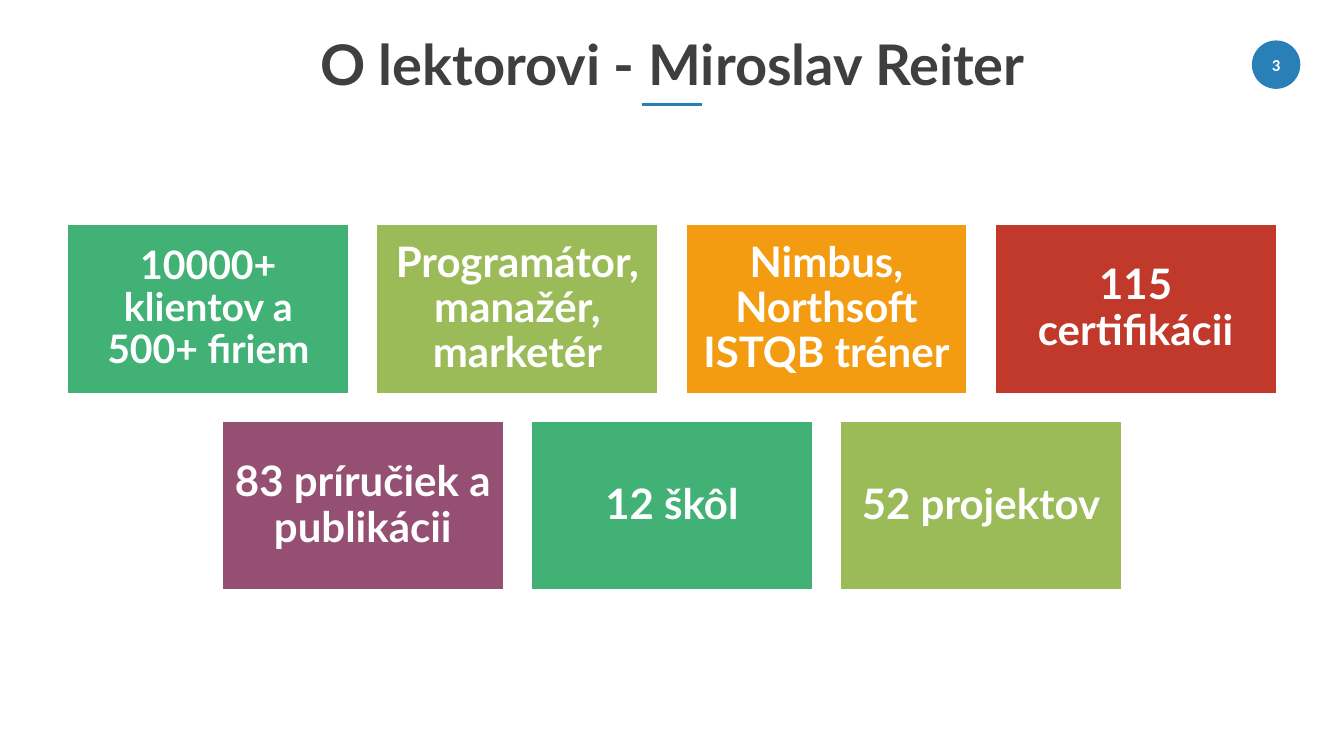
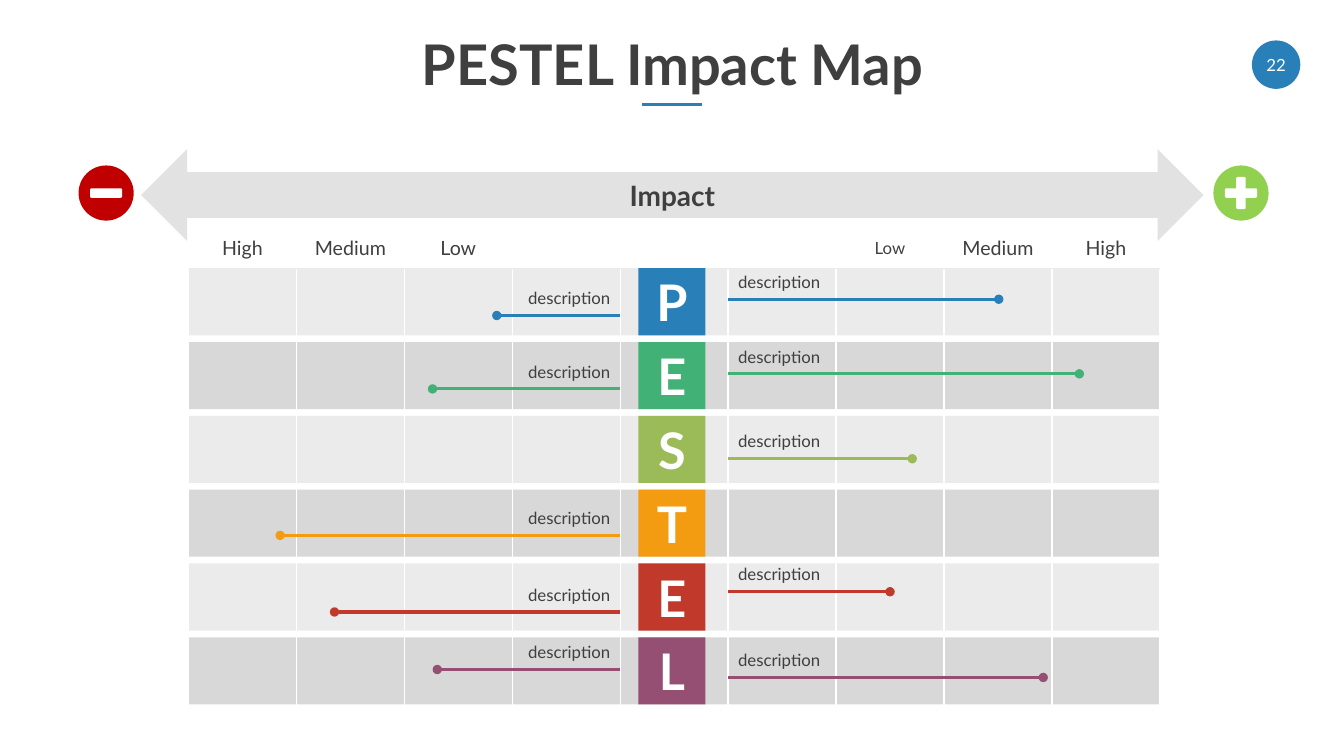
from itertools import cycle

from lxml import etree
from pptx import Presentation
from pptx.dml.color import RGBColor
from pptx.enum.shapes import MSO_CONNECTOR, MSO_SHAPE
from pptx.enum.text import MSO_ANCHOR, PP_ALIGN
from pptx.oxml.ns import qn
from pptx.util import Cm, Pt

# Enum members
STRAIGHT = MSO_CONNECTOR.STRAIGHT
RECTANGLE, OVAL = MSO_SHAPE.RECTANGLE, MSO_SHAPE.OVAL
ROUNDED, DOUBLE_ARROW = MSO_SHAPE.ROUNDED_RECTANGLE, MSO_SHAPE.LEFT_RIGHT_ARROW
MIDDLE = MSO_ANCHOR.MIDDLE
LEFT, CENTER, RIGHT = PP_ALIGN.LEFT, PP_ALIGN.CENTER, PP_ALIGN.RIGHT

# Colours
WHITE = RGBColor(0xFF, 0xFF, 0xFF)
INK = RGBColor(0x3F, 0x3F, 0x3F)
BLUE = RGBColor(0x29, 0x80, 0xB9)
GREEN = RGBColor(0x41, 0xB1, 0x76)
LIME = RGBColor(0x9B, 0xBB, 0x59)
ORANGE = RGBColor(0xF3, 0x9C, 0x12)
RED = RGBColor(0xC0, 0x39, 0x2B)
PURPLE = RGBColor(0x95, 0x4F, 0x72)
LIGHT_ROW = RGBColor(0xD9, 0xD9, 0xD9)
DARK_ROW = RGBColor(0xB2, 0xB2, 0xB2)
ARROW_GREY = RGBColor(0x8C, 0x8C, 0x8C)
MINUS_RED = RGBColor(0xC0, 0x00, 0x00)
PLUS_GREEN = RGBColor(0x92, 0xD0, 0x50)
ACCENTS = (BLUE, GREEN, LIME, ORANGE, RED, PURPLE)

# Page size in centimetres
WIDTH, HEIGHT = 33.87, 19.05


class Deck:
    """Holds the shared style and the current slide; lengths are in centimetres."""

    def __init__(self):
        self.presentation = Presentation()
        self.presentation.slide_width = Cm(WIDTH)
        self.presentation.slide_height = Cm(HEIGHT)
        self.slide = None

    def new_slide(self, title, number, number_font="Lato", number_bold=False):
        layout = self.presentation.slide_layouts[6]
        self.slide = self.presentation.slides.add_slide(layout)
        badge = self.shape(OVAL, 31.55, 1.02, 1.22, 1.22, BLUE)
        self.label(badge, number, 12, WHITE, number_bold, font=number_font, inset=0)
        self.line(16.18, 2.64, 17.68, 2.64, BLUE, 2)
        self.text(title, 2.34, 0.51, 29.21, 2.39, 40, bold=True, spacing=0.9)

    def label(self, shape, text, size, color, bold=False, align=CENTER,
              font="Lato", spacing=None, inset=None):
        frame = shape.text_frame
        frame.word_wrap = True
        frame.vertical_anchor = MIDDLE
        if inset is not None:
            frame.margin_left = frame.margin_right = Cm(inset)
            frame.margin_top = frame.margin_bottom = Cm(inset)
        frame.text = text
        paragraph = frame.paragraphs[0]
        paragraph.alignment = align
        if spacing:
            paragraph.line_spacing = spacing
        for run in paragraph.runs:
            run.font.name = font
            run.font.size = Pt(size)
            run.font.bold = bold
            run.font.color.rgb = color

    def text(self, text, left, top, width, height, size, **style):
        box = self.slide.shapes.add_textbox(Cm(left), Cm(top), Cm(width), Cm(height))
        self.label(box, text, size, INK, **style)

    def shape(self, kind, left, top, width, height, fill, opacity=100, outline=None):
        shape = self.slide.shapes.add_shape(
            kind, Cm(left), Cm(top), Cm(width), Cm(height))
        shape.shadow.inherit = False
        shape.fill.solid()
        shape.fill.fore_color.rgb = fill
        if opacity < 100:
            color = shape._element.spPr.find(qn("a:solidFill"))[0]
            etree.SubElement(color, qn("a:alpha"), val=str(opacity * 1000))
        if outline is None:
            shape.line.fill.background()
        else:
            shape.line.color.rgb = outline
            shape.line.width = Pt(1)
        return shape

    def line(self, x1, y1, x2, y2, color, weight, dot_end=False):
        connector = self.slide.shapes.add_connector(
            STRAIGHT, Cm(x1), Cm(y1), Cm(x2), Cm(y2))
        connector.line.color.rgb = color
        connector.line.width = Pt(weight)
        properties = connector._element.spPr
        if dot_end:
            etree.SubElement(properties.find(qn("a:ln")), qn("a:tailEnd"), type="oval")
        etree.SubElement(properties, qn("a:effectLst"))

    def tile_row(self, top, tiles):
        width, height, gap = 7.09, 4.25, 0.7
        left = (WIDTH - len(tiles) * (width + gap) + gap) / 2
        for index, (text, size, color) in enumerate(tiles):
            tile = self.shape(RECTANGLE, left + index * (width + gap), top,
                              width, height, color, outline=WHITE)
            self.label(tile, text, size, WHITE, True, spacing=0.9, inset=0.3)

    def sign_badge(self, left, color, is_plus):
        top, diameter, length, thickness = 4.17, 1.39, 0.81, 0.24
        self.shape(OVAL, left, top, diameter, diameter, color)
        bars = [(length, thickness)]
        if is_plus:
            bars.append((thickness, length))
        for width, height in bars:
            self.shape(ROUNDED, left + (diameter - width) / 2,
                       top + (diameter - height) / 2, width, height, WHITE)

    def impact(self, start, end, y, color):
        width = 3.68
        to_right = end > start
        self.line(start, y, end, y, color, 2.25, dot_end=True)
        self.text("description", start if to_right else start - width, y - 0.82,
                  width, 0.76, 12, align=LEFT if to_right else RIGHT)


def lecturer_slide(deck):
    deck.new_slide("O lektorovi - Miroslav Reiter", "3", "Calibri", True)
    facts = (
        ("10000+ klientov a 500+ firiem", 28),
        ("Programátor, manažér, marketér", 30),
        ("Nimbus, Northsoft\vISTQB tréner", 30),
        ("115 certifikácii", 30),
        ("83 príručiek a publikácii", 30),
        ("12 škôl", 30),
        ("52 projektov", 30),
    )
    tiles = [(*fact, color) for fact, color in zip(facts, cycle(ACCENTS[1:]))]
    deck.tile_row(5.66, tiles[:4])
    deck.tile_row(10.62, tiles[4:])


def impact_slide(deck):
    deck.new_slide("PESTEL Impact Map", "22")

    # Grid measures
    left, column, columns = 4.75, 2.72, 9
    top, pitch, row_height = 6.76, 1.86, 1.69
    left_start, right_start = left + 4 * column, left + 5 * column

    # Each factor: letter, then (end, height) of its negative and positive line
    factors = (
        ("P", (12.52, 7.95), (25.17, 7.54)),
        ("E", (10.9, 9.8), (27.2, 9.42)),
        ("S", None, (22.99, 11.56)),
        ("T", (7.06, 13.49), None),
        ("E", (8.43, 15.42), (22.43, 14.91)),
        ("L", (11.02, 16.87), (26.29, 17.07)),
    )

    # Row bands
    for row in range(len(factors)):
        deck.shape(RECTANGLE, left, top + row * pitch, columns * column, row_height,
                   DARK_ROW if row % 2 else LIGHT_ROW, opacity=50)

    # Impact axis
    axis = deck.shape(DOUBLE_ARROW, 3.56, 3.76, 26.77, 2.31, ARROW_GREY, opacity=25)
    deck.label(axis, "Impact", 20, INK, True)
    deck.sign_badge(1.98, MINUS_RED, is_plus=False)
    deck.sign_badge(30.58, PLUS_GREEN, is_plus=True)

    # Column rules and headings
    for index in range(columns + 1):
        x = left + index * column
        deck.line(x, 6.78, x, 17.78, WHITE, 1)
    headings = ((0, "High", 14), (1, "Medium", 14), (2, "Low", 14),
                (6, "Low", 12), (7, "Medium", 14), (8, "High", 14))
    for index, heading, size in headings:
        deck.text(heading, left + index * column, 5.82, column, 0.86, size)

    # Letters and impact lines
    for row, ((letter, negative, positive), color) in enumerate(zip(factors, ACCENTS)):
        square = deck.shape(RECTANGLE, (WIDTH - row_height) / 2, top + row * pitch,
                            row_height, row_height, color)
        deck.label(square, letter, 36, WHITE, True, inset=0)
        for start, target in ((left_start, negative), (right_start, positive)):
            if target:
                deck.impact(start, *target, color)


def main():
    deck = Deck()
    lecturer_slide(deck)
    impact_slide(deck)
    deck.presentation.save("out.pptx")


if __name__ == "__main__":
    main()
